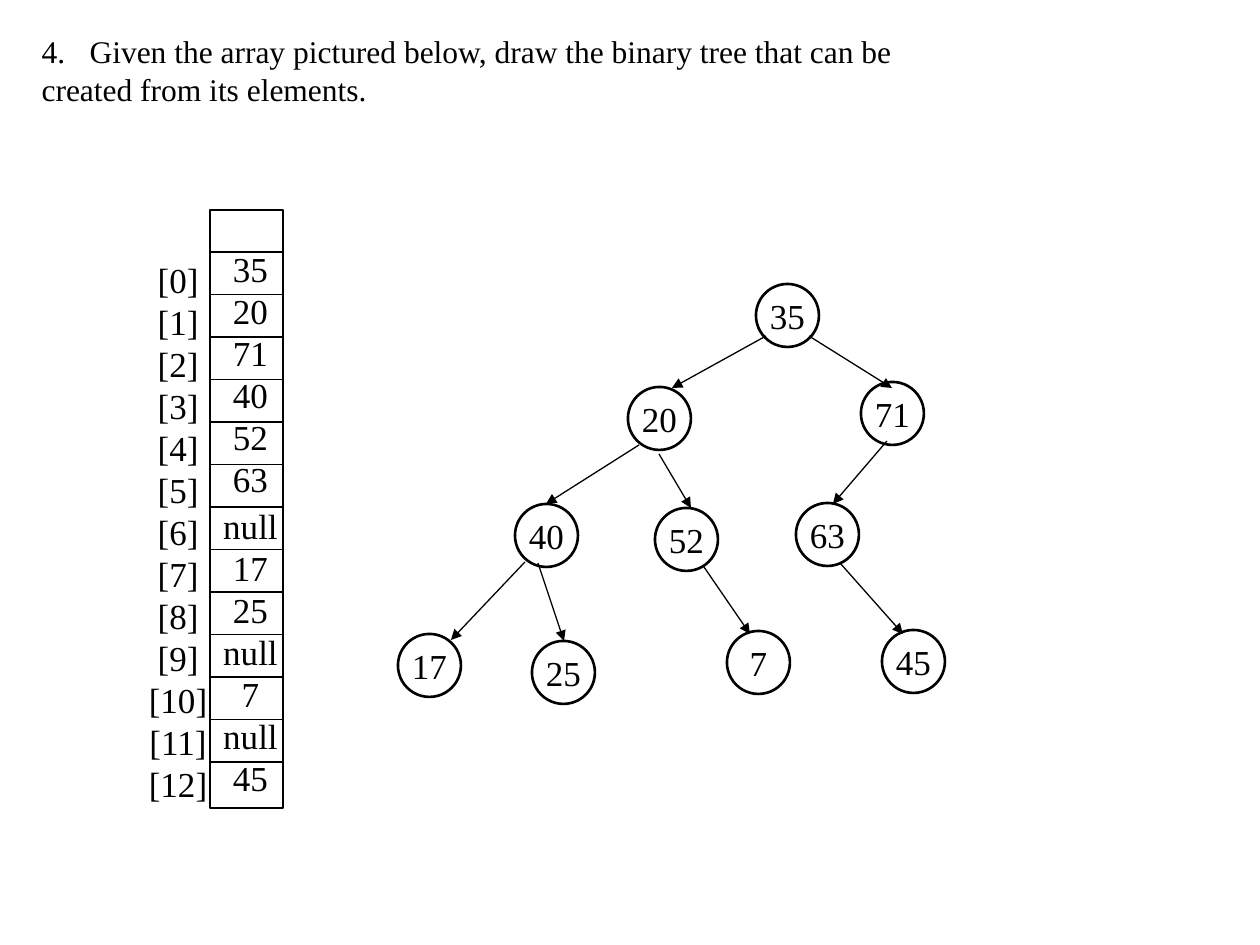
from lxml import etree
from pptx import Presentation
from pptx.dml.color import RGBColor
from pptx.enum.shapes import MSO_CONNECTOR, MSO_SHAPE
from pptx.enum.text import MSO_ANCHOR, PP_ALIGN
from pptx.oxml.ns import qn
from pptx.util import Pt

LINE = MSO_CONNECTOR.STRAIGHT
RECT, OVAL = MSO_SHAPE.RECTANGLE, MSO_SHAPE.OVAL
LEFT, CENTER = PP_ALIGN.LEFT, PP_ALIGN.CENTER
TOP, MIDDLE = MSO_ANCHOR.TOP, MSO_ANCHOR.MIDDLE

PX = 914400 // 126
FONT = "Times New Roman"
COLORS = {"ink": "000000"}
INK = RGBColor.from_string(COLORS["ink"])

TITLE = [
    "Given the array pictured below, draw the binary tree that can be",
    "created from its elements.",
]
START, INDENT = 4, 48
VALUES = ["35", "20", "71", "40", "52", "63", "null",
          "17", "25", "null", "7", "null", "45"]
FRAME = (210, 210, 73, 598)
RULE_TOP, RULE_GAP = 252, 42.5
SIZE = 63
NODES = {  # value: left, top
    "35": (756, 284), "20": (628, 387), "71": (861, 382),
    "40": (515, 504), "52": (655, 508), "63": (796, 503),
    "17": (398, 634), "25": (532, 641), "7": (727, 631), "45": (882, 630),
}
EDGES = [  # from x, from y, to x, to y
    (766, 336, 672, 388), (809, 336, 892, 388),
    (639, 445, 546, 504), (659, 454, 691, 508), (887, 441, 833, 504),
    (525, 562, 451, 640), (538, 563, 564, 641),
    (704, 567, 750, 634), (840, 563, 903, 634),
]

prs = Presentation()
prs.slide_width, prs.slide_height = 1260 * PX, 945 * PX
slide = prs.slides.add_slide(prs.slide_layouts[6])
shapes = slide.shapes


def emu(*nums):
    """Turn pixels into EMU."""
    return [round(n * PX) for n in nums]


def write(shape, lines, size, align=CENTER, anchor=TOP, side=0, wrap=False):
    """Put lines of text into a shape, one paragraph each."""
    frame = shape.text_frame
    frame.text = "\n".join(lines)
    frame.word_wrap = wrap
    frame.vertical_anchor = anchor
    frame.margin_left = frame.margin_right = round(side * PX)
    for para in frame.paragraphs:
        para.alignment = align
        para.line_spacing = Pt(size * 1.2)
        para.font.size = Pt(size)
        for run in para.runs:
            run.font.size = Pt(size)
            run.font.name = FONT
            run.font.color.rgb = INK
    return frame


def text(box, lines, size, **opts):
    """Add a text box."""
    return write(shapes.add_textbox(*emu(*box)), lines, size, **opts)


def outline(kind, box, width):
    """Add an unfilled preset shape."""
    shape = shapes.add_shape(kind, *emu(*box))
    shape.shadow.inherit = False
    shape.fill.background()
    shape.line.color.rgb = INK
    shape.line.width = Pt(width)
    return shape


def line(ends, arrow=False):
    """Add a thin line, with an arrowhead at its end if asked."""
    link = shapes.add_connector(LINE, *emu(*ends))
    link.line.color.rgb = INK
    link.line.width = Pt(0.75)
    props = link.element.spPr
    if arrow:
        tail = etree.SubElement(props.find(qn("a:ln")), qn("a:tailEnd"))
        tail.set("type", "triangle")
    etree.SubElement(props, qn("a:effectLst"))


def number(para, start, indent):
    """Number a paragraph with a hanging indent."""
    props = para._p.get_or_add_pPr()
    props.set("marL", str(indent * PX))
    props.set("indent", str(-indent * PX))
    mark = etree.SubElement(props, qn("a:buFont"))
    mark.set("typeface", FONT)
    auto = etree.SubElement(props, qn("a:buAutoNum"))
    auto.set("type", "arabicPeriod")
    auto.set("startAt", str(start))
    # The schema puts default run properties after the bullet.
    for item in props.findall(qn("a:defRPr")):
        props.append(item)


# Array
outline(RECT, FRAME, 0.75)
left, _, width, _ = FRAME
for i in range(len(VALUES)):
    y = RULE_TOP + i * RULE_GAP
    line((left, y, left + width, y))
text((136, 252, 84, 564), [f"[{i}]" for i in range(len(VALUES))], 20)

# Values start one row down, in line with the second cell
cells = text((210, 241, 81, 564), VALUES, 20)
cells.paragraphs[VALUES.index("null")].space_before = Pt(3)

# Question
title = text((29, 26, 885, 89), TITLE, 18, align=LEFT, side=12.6, wrap=True)
number(title.paragraphs[0], START, INDENT)

# Tree
for value, (x, y) in NODES.items():
    node = outline(OVAL, (x, y, SIZE, SIZE), 1.5)
    write(node, [value], 20, anchor=MIDDLE)
for ends in EDGES:
    line(ends, arrow=True)

prs.save("out.pptx")
